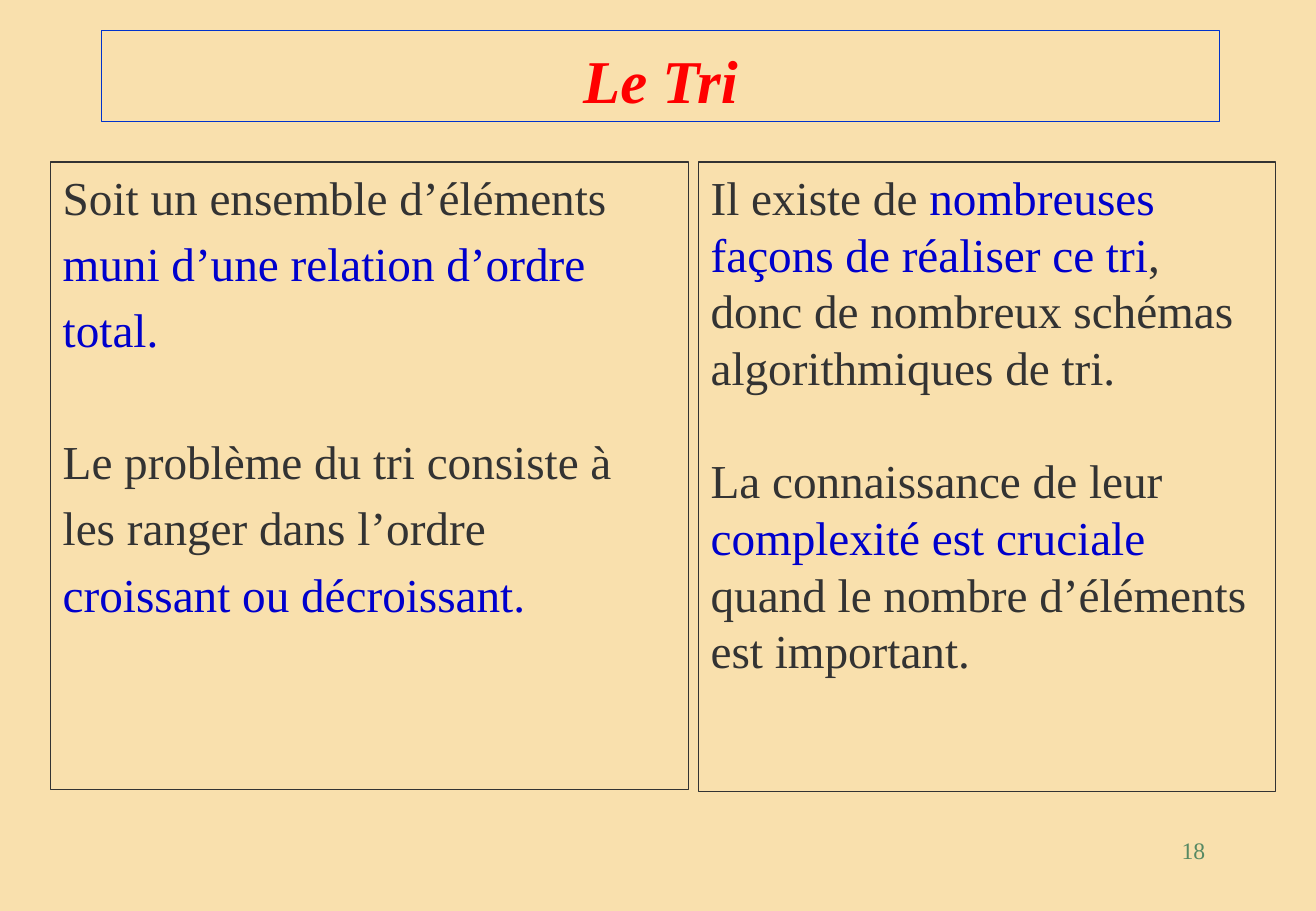
import pptx
import pptx.util
import pptx.dml.color
import pptx.enum.text
import pptx.oxml.xmlchemy

Pt = pptx.util.Pt
RGB = pptx.dml.color.RGBColor
Align = pptx.enum.text.PP_ALIGN
Anchor = pptx.enum.text.MSO_ANCHOR
Fit = pptx.enum.text.MSO_AUTO_SIZE

FONT = "Times New Roman"
COLORS = {
    "sand": "F9E0AD",
    "frame": "0033CC",
    "dark": "333333",
    "blue": "0000CC",
    "red": "FF0000",
    "green": "578963",
}

TITLE = [(0, [("Le Tri", "red")])]
ORDER = [
    (0, [("Soit un ensemble d’éléments", "dark")]),
    (5.6, [("muni d’une relation d’ordre", "blue")]),
    (5.6, [("total.", "blue")]),
    (44.7, [("Le problème du tri consiste à", "dark")]),
    (5.6, [("les ranger dans l’ordre", "dark")]),
    (5.6, [("croissant ou décroissant.", "blue")]),
]
METHODS = [
    (0, [("Il existe de ", "dark"),
         ("nombreuses façons de réaliser ce tri", "blue"),
         (",", "dark")]),
    (0, [("donc de nombreux schémas algorithmiques de tri.", "dark")]),
    (33.5, [("La connaissance de leur ", "dark"),
            ("complexité est cruciale", "blue"),
            (" quand le nombre d’éléments est important.", "dark")]),
]
NUMBER = [(0, [("18", "green")])]


def color(name):
    return RGB.from_string(COLORS[name])


def place(shape, box):
    shape.left, shape.top, shape.width, shape.height = map(Pt, box)


def frame(shape, name):
    shape.line.color.rgb = color(name)
    shape.line.width = Pt(0.75)


def write(shape, lines, size, align=Align.LEFT, anchor=Anchor.TOP, strong=False):
    text = shape.text_frame
    text.word_wrap = True
    text.auto_size = Fit.NONE
    text.vertical_anchor = anchor
    for i, (gap, runs) in enumerate(lines):
        para = text.paragraphs[0] if i == 0 else text.add_paragraph()
        props = para._p.get_or_add_pPr()
        props.set("marL", "0")
        props.set("indent", "0")
        props.append(pptx.oxml.xmlchemy.OxmlElement("a:buNone"))
        para.alignment = align
        para.space_before = Pt(gap)
        for words, name in runs:
            run = para.add_run()
            run.text = words
            run.font.name = FONT
            run.font.size = Pt(size)
            run.font.bold = run.font.italic = strong
            run.font.color.rgb = color(name)


def main():
    deck = pptx.Presentation()
    deck.slide_width, deck.slide_height = Pt(780), Pt(540)
    slide = deck.slides.add_slide(deck.slide_layouts[3])
    slide.background.fill.solid()
    slide.background.fill.fore_color.rgb = color("sand")

    title = slide.shapes.title
    place(title, (60, 18, 663, 54))
    frame(title, "frame")
    write(title, TITLE, 36, Align.CENTER, Anchor.BOTTOM, True)

    panels = [(1, 30, 378, 372, ORDER), (2, 414, 342, 373, METHODS)]
    for key, left, width, height, lines in panels:
        panel = slide.placeholders[key]
        place(panel, (left, 96, width, height))
        frame(panel, "dark")
        write(panel, lines, 28)

    number = slide.shapes.add_textbox(Pt(559), Pt(492), Pt(162.5), Pt(36))
    write(number, NUMBER, 14, Align.RIGHT)

    deck.save("out.pptx")


if __name__ == "__main__":
    main()
